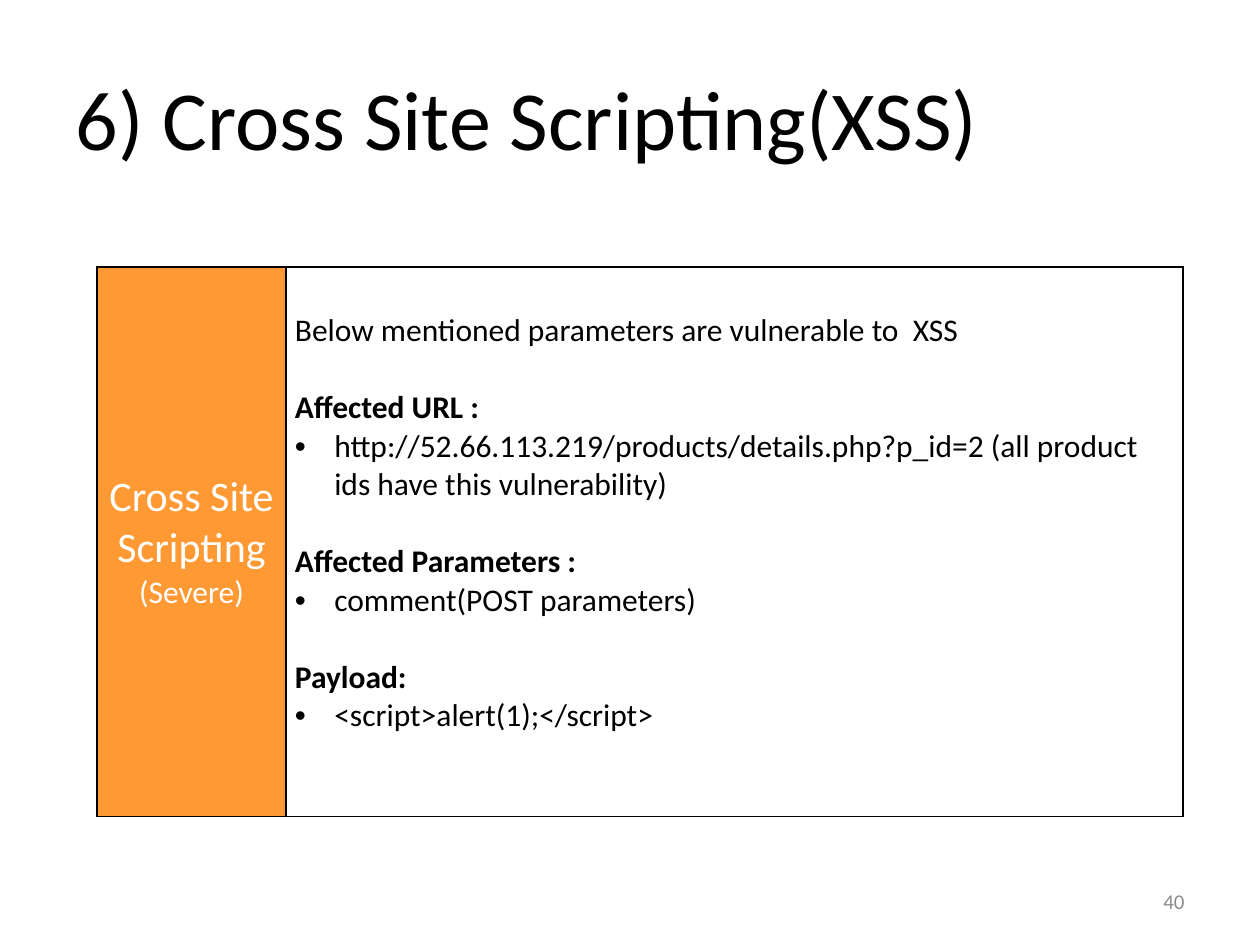
from lxml import etree
from pptx import Presentation
from pptx.dml.color import RGBColor
from pptx.enum.text import MSO_ANCHOR, PP_ALIGN
from pptx.oxml.ns import qn
from pptx.util import Pt

MIDDLE = MSO_ANCHOR.MIDDLE
TOP = MSO_ANCHOR.TOP
LEFT = PP_ALIGN.LEFT
CENTER = PP_ALIGN.CENTER
RIGHT = PP_ALIGN.RIGHT

FONT = "Calibri"
BLACK, WHITE, ORANGE, GRAY = "000000", "FFFFFF", "FF9933", "8C8C8C"
LINE_HEIGHT = 22
INTRODUCTION = "Below mentioned parameters are vulnerable to  XSS"
SECTIONS = [
    ("Affected URL :", "http://52.66.113.219/products/details.php?p_id=2 "
                       "(all product ids have this vulnerability)"),
    ("Affected Parameters :", "comment(POST parameters)"),
    ("Payload:", "<script>alert(1);</script>"),
]


def color(value):
    return RGBColor.from_string(value)


def style_font(font, size, value, bold=False):
    font.name = FONT
    font.size = Pt(size)
    font.bold = bold
    font.color.rgb = color(value)


def write_paragraph(paragraph, text, size, value, alignment=LEFT, bold=False):
    paragraph.text = text
    paragraph.alignment = alignment
    style_font(paragraph.font, size, value, bold)


def add_bullet(paragraph, indent):
    properties = paragraph._p.get_or_add_pPr()
    properties.set("marL", str(Pt(indent)))
    properties.set("indent", str(-Pt(indent)))
    etree.SubElement(properties, qn("a:buFont"), typeface="Arial")
    etree.SubElement(properties, qn("a:buChar"), char="•")


def add_border(cell, sides):
    properties = cell._tc.get_or_add_tcPr()
    for side in sides:
        line = etree.SubElement(properties, qn(f"a:ln{side}"), w=str(Pt(1)))
        fill = etree.SubElement(line, qn("a:solidFill"))
        etree.SubElement(fill, qn("a:srgbClr"), val=BLACK)


def format_cell(cell, fill, anchor, top=3.6):
    add_border(cell, "LRTB")
    cell.fill.solid()
    cell.fill.fore_color.rgb = color(fill)
    cell.vertical_anchor = anchor
    cell.margin_left = cell.margin_right = Pt(5.1)
    cell.margin_top, cell.margin_bottom = Pt(top), Pt(3.6)


def add_title(slide, text):
    title = slide.shapes.title
    title.left, title.top, title.width, title.height = Pt(36), Pt(21.6), Pt(648), Pt(90)
    title.text_frame.vertical_anchor = MIDDLE
    write_paragraph(title.text_frame.paragraphs[0], text, 48, BLACK)


def fill_severity(cell):
    format_cell(cell, ORANGE, MIDDLE)
    paragraph = cell.text_frame.paragraphs[0]
    paragraph.alignment = CENTER
    for text, size in (("Cross Site Scripting ", 24), ("(Severe)", 18)):
        run = paragraph.add_run()
        run.text = text
        style_font(run.font, size, WHITE)


def fill_findings(cell):
    format_cell(cell, WHITE, TOP, 3.6 + LINE_HEIGHT)
    frame = cell.text_frame
    write_paragraph(frame.paragraphs[0], INTRODUCTION, 18, BLACK)
    for heading, detail in SECTIONS:
        paragraph = frame.add_paragraph()
        paragraph.space_before = Pt(LINE_HEIGHT)
        write_paragraph(paragraph, heading, 18, BLACK, bold=True)
        paragraph = frame.add_paragraph()
        add_bullet(paragraph, 22.5)
        write_paragraph(paragraph, detail, 18, BLACK)


def add_findings_table(slide):
    widths, heights = (108, 512.64), (36, 314)
    table = slide.shapes.add_table(
        2, 2, Pt(55.44), Pt(116.64), Pt(sum(widths)), Pt(sum(heights))).table
    table.first_row = table.horz_banding = False
    for column, width in zip(table.columns, widths):
        column.width = Pt(width)
    for row, height in zip(table.rows, heights):
        row.height = Pt(height)
    for cell in table.rows[0].cells:
        add_border(cell, "B")
        cell.fill.background()
    fill_severity(table.cell(1, 0))
    fill_findings(table.cell(1, 1))


def add_page_number(slide, text):
    box = slide.shapes.add_textbox(Pt(516), Pt(500.4), Pt(168), Pt(28.8))
    box.text_frame.word_wrap = True
    box.text_frame.vertical_anchor = MIDDLE
    write_paragraph(box.text_frame.paragraphs[0], text, 12, GRAY, RIGHT)


def main():
    presentation = Presentation()
    presentation.slide_width, presentation.slide_height = Pt(720), Pt(540)
    slide = presentation.slides.add_slide(presentation.slide_layouts[5])
    add_title(slide, "6) Cross Site Scripting(XSS)")
    add_findings_table(slide)
    add_page_number(slide, "40")
    presentation.save("out.pptx")


if __name__ == "__main__":
    main()
